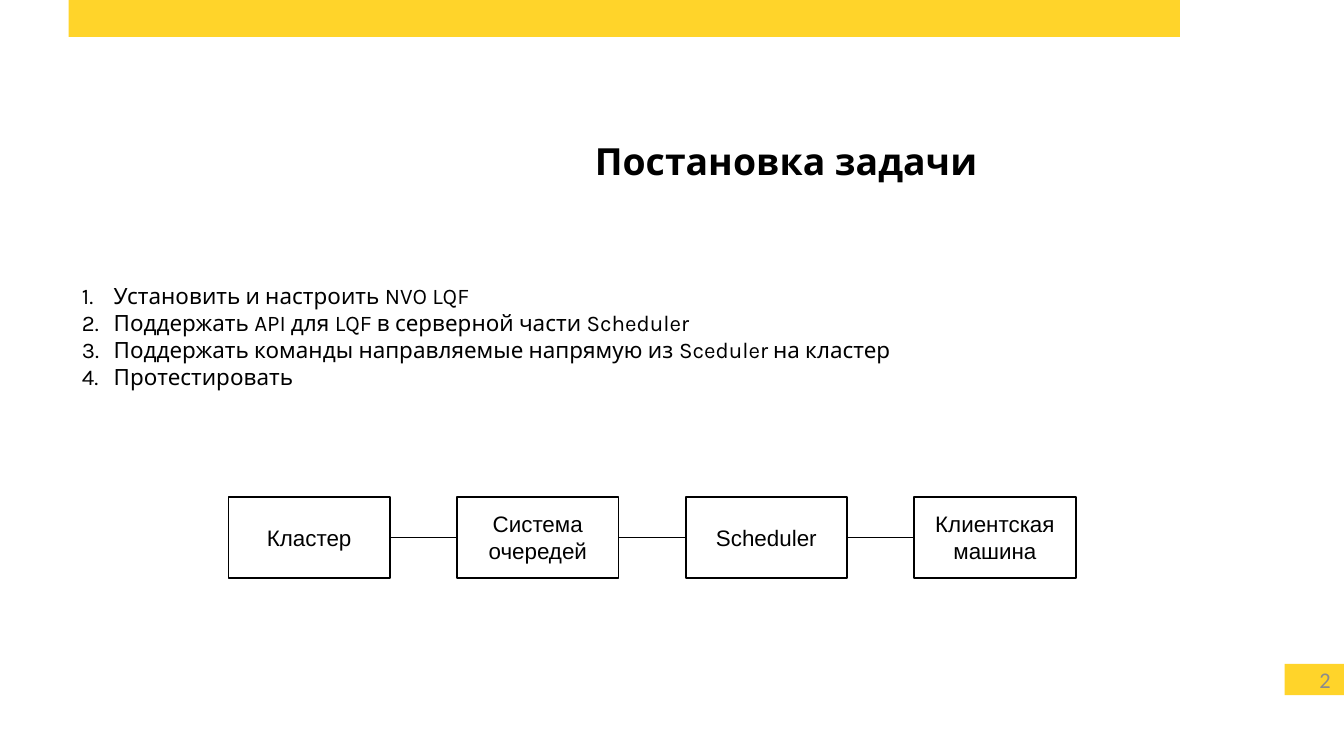
from dataclasses import dataclass
from itertools import pairwise

from lxml.etree import SubElement
from pptx import Presentation
from pptx.dml.color import RGBColor
from pptx.enum.shapes import MSO_CONNECTOR, MSO_SHAPE
from pptx.enum.text import MSO_ANCHOR, PP_ALIGN
from pptx.oxml.ns import qn
from pptx.shapes.autoshape import Shape
from pptx.slide import Slide
from pptx.util import Cm, Pt

YELLOW = RGBColor(0xFF, 0xD4, 0x2A)
BLACK = RGBColor(0, 0, 0)
GRAY = RGBColor(0x8B, 0x8B, 0x8B)

RIGHT_SIDE, LEFT_SIDE = 3, 1
NODE_LEFT, NODE_TOP, NODE_STEP = 4.32, 9.4, 4.32
NODE_WIDTH, NODE_HEIGHT = 3.05, 1.52
NODE_LABELS = ("Кластер", "Система\nочередей", "Scheduler", "Клиентская\nмашина")

TASKS = (
    "Установить и настроить NVO LQF",
    "Поддержать API для LQF в серверной части Scheduler",
    "Поддержать команды направляемые напрямую из Sceduler на кластер",
    "Протестировать",
)

NODE_FRAME = {
    "vertical_anchor": MSO_ANCHOR.MIDDLE,
    "margin_left": Cm(0.28),
    "margin_right": Cm(0.28),
    "margin_top": Cm(0.15),
    "margin_bottom": Cm(0.15),
}


@dataclass(frozen=True)
class Box:
    left: float
    top: float
    width: float
    height: float

    def lengths(self) -> tuple[Cm, Cm, Cm, Cm]:
        return Cm(self.left), Cm(self.top), Cm(self.width), Cm(self.height)


@dataclass(frozen=True)
class TextStyle:
    name: str
    size: int
    color: RGBColor = BLACK
    bold: bool = False
    alignment: PP_ALIGN = PP_ALIGN.LEFT


TITLE_STYLE = TextStyle("Karla", 20, bold=True, alignment=PP_ALIGN.RIGHT)
LIST_STYLE = TextStyle("Karla", 12)
NODE_STYLE = TextStyle("Arial", 12, alignment=PP_ALIGN.CENTER)
NUMBER_STYLE = TextStyle("Calibri", 12, GRAY, alignment=PP_ALIGN.RIGHT)

BARS = (Box(1.3, 0, 21, 0.7), Box(24.28, 12.55, 1.12, 0.59))


def write_text(shape: Shape, text: str, style: TextStyle, frame_format: dict) -> None:
    frame = shape.text_frame
    frame.text = text
    for name, value in ({"word_wrap": True} | frame_format).items():
        setattr(frame, name, value)
    font_format = {"name": style.name, "size": Pt(style.size), "bold": style.bold}
    for paragraph in frame.paragraphs:
        paragraph.alignment = style.alignment
        for run in paragraph.runs:
            for name, value in font_format.items():
                setattr(run.font, name, value)
            run.font.color.rgb = style.color


def add_text(slide: Slide, box: Box, text: str, style: TextStyle,
             anchor: MSO_ANCHOR = MSO_ANCHOR.TOP) -> Shape:
    shape = slide.shapes.add_textbox(*box.lengths())
    write_text(shape, text, style, {"vertical_anchor": anchor})
    return shape


def number_paragraphs(shape: Shape, indent: Cm) -> None:
    for paragraph in shape.text_frame.paragraphs:
        properties = paragraph._p.get_or_add_pPr()
        properties.set("marL", str(indent))
        properties.set("indent", str(-indent))
        color = SubElement(properties, qn("a:buClr"))
        SubElement(color, qn("a:srgbClr"), val=str(BLACK))
        SubElement(properties, qn("a:buFont"), typeface=LIST_STYLE.name)
        SubElement(properties, qn("a:buAutoNum"), type="arabicPeriod")


def add_bar(slide: Slide, box: Box) -> None:
    shape = slide.shapes.add_shape(MSO_SHAPE.RECTANGLE, *box.lengths())
    shape.shadow.inherit = False
    shape.fill.solid()
    shape.fill.fore_color.rgb = YELLOW
    shape.line.fill.background()


def add_node(slide: Slide, box: Box, label: str) -> Shape:
    shape = slide.shapes.add_shape(MSO_SHAPE.RECTANGLE, *box.lengths())
    shape.shadow.inherit = False
    shape.fill.background()
    shape.line.color.rgb = BLACK
    shape.line.width = Pt(1)
    write_text(shape, label, NODE_STYLE, NODE_FRAME)
    return shape


def connect(slide: Slide, start: Shape, end: Shape) -> None:
    connector = slide.shapes.add_connector(MSO_CONNECTOR.STRAIGHT, 0, 0, 0, 0)
    connector.begin_connect(start, RIGHT_SIDE)
    connector.end_connect(end, LEFT_SIDE)
    connector.line.color.rgb = BLACK
    connector.line.width = Pt(1)
    SubElement(connector._element.spPr, qn("a:effectLst"))


def main() -> None:
    presentation = Presentation()
    presentation.slide_width = Cm(25.4)
    presentation.slide_height = Cm(14.29)
    slide = presentation.slides.add_slide(presentation.slide_layouts[6])

    for bar in BARS:
        add_bar(slide, bar)
    add_text(slide, Box(19.48, 12.47, 5.92, 0.76), "2", NUMBER_STYLE, MSO_ANCHOR.MIDDLE)
    add_text(slide, Box(1.35, 2.49, 17.37, 1.96), "Постановка задачи", TITLE_STYLE)
    tasks = add_text(slide, Box(1.3, 5.21, 22.83, 3.3), "\n".join(TASKS), LIST_STYLE)
    number_paragraphs(tasks, Cm(0.6))

    nodes = [
        add_node(slide, Box(NODE_LEFT + index * NODE_STEP, NODE_TOP,
                            NODE_WIDTH, NODE_HEIGHT), label)
        for index, label in enumerate(NODE_LABELS)
    ]
    for start, end in pairwise(nodes):
        connect(slide, start, end)

    presentation.save("out.pptx")


if __name__ == "__main__":
    main()
